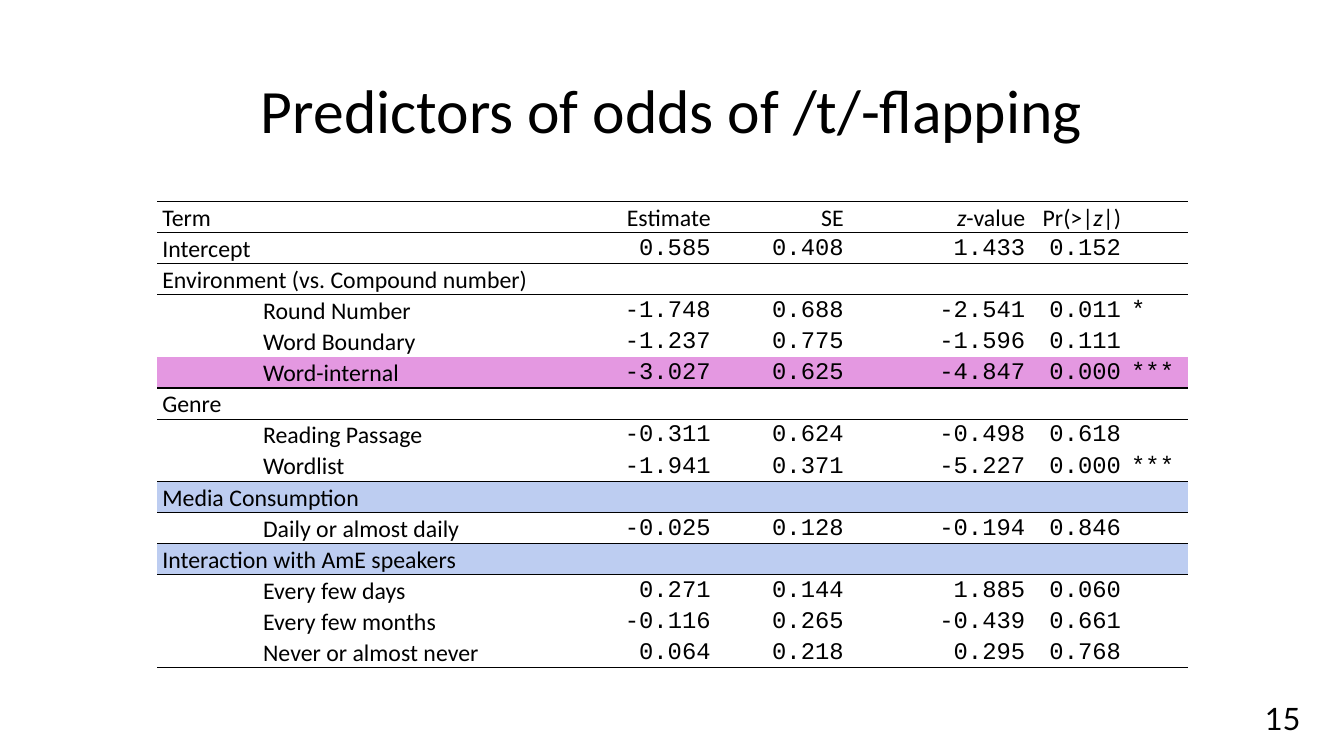
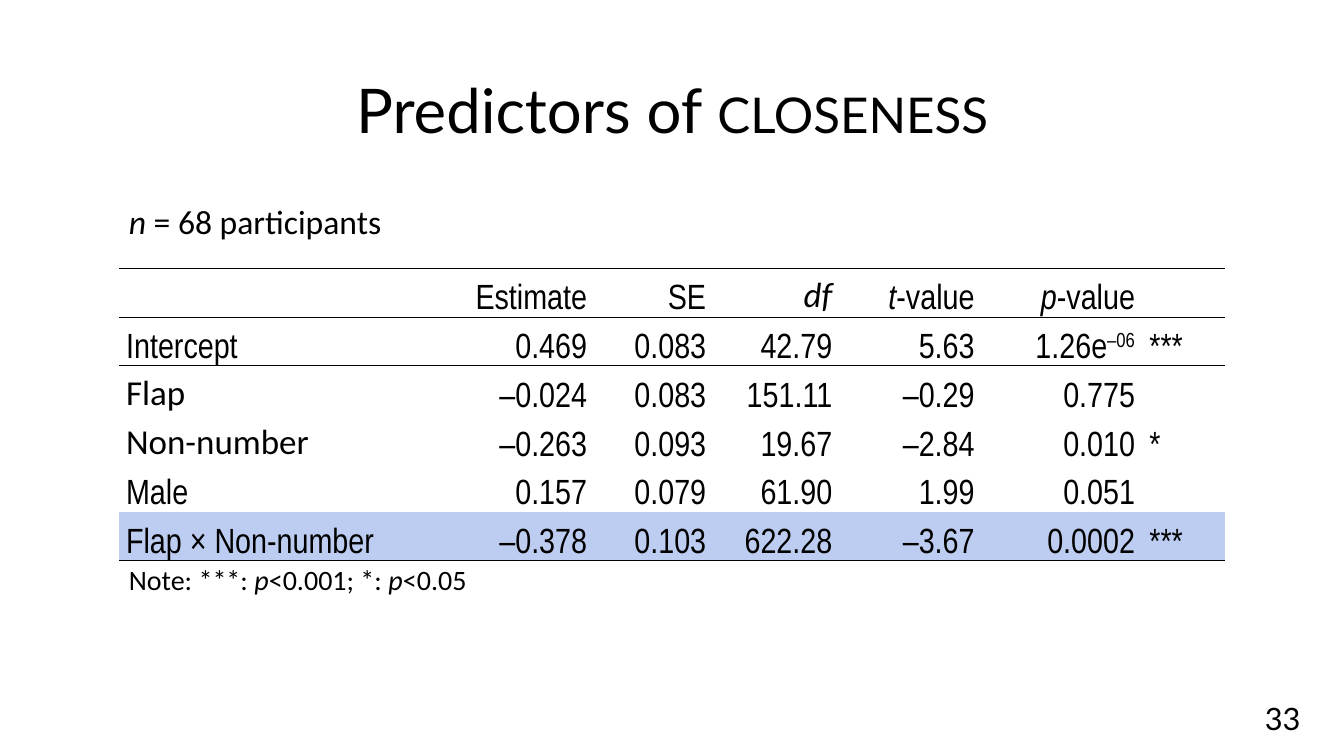
from dataclasses import dataclass

import pptx
import pptx.dml.color
import pptx.enum.text
import pptx.oxml
import pptx.oxml.ns
import pptx.util
from lxml import etree

ALIGN = pptx.enum.text.PP_ALIGN
ANCHOR = pptx.enum.text.MSO_ANCHOR
ITALIC = {"i": "1"}
SUPERSCRIPT = {"baseline": "30000"}
SMALL_CAPS = {"cap": "small"}
PLAIN_TABLE = "{2D5ABB26-0587-4C30-8999-92F81FD0307C}"


@dataclass(frozen=True)
class Theme:
    """Colours, fonts and type sizes that the slides share."""
    ink: str = "000000"
    pink: str = "E498E1"
    blue: str = "BDCDF1"
    sans: str = "Calibri"
    display: str = "Lato"
    mono: str = "Courier New"
    narrow: str = "Arial Narrow"
    title: int = 44
    caption: int = 24
    number: int = 22
    note: int = 20


THEME = Theme()
UPRIGHT = {"font": THEME.sans}
WIDTH, HEIGHT = pptx.util.Inches(13.33), pptx.util.Inches(7.5)


@dataclass(frozen=True)
class TableStyle:
    """Type and spacing of one regression table."""
    labels: str
    numbers: str
    size: int
    spacing: float
    padding: float
    anchor: object


ODDS_STYLE = TableStyle(THEME.sans, THEME.mono, 17, 1.07, 0.38, ANCHOR.MIDDLE)
CLOSENESS_STYLE = TableStyle(THEME.narrow, THEME.narrow, 25, 1.15, 0.54, ANCHOR.BOTTOM)

ODDS_ROWS = [
    ("Term", "Estimate", "SE", [("z", ITALIC), "-value"], ["Pr(>|", ("z", ITALIC), "|)"], ""),
    ("Intercept", "0.585", "0.408", "1.433", "0.152", ""),
    ("Environment (vs. Compound number)",),
    ("Round Number", "-1.748", "0.688", "-2.541", "0.011", "*"),
    ("Word Boundary", "-1.237", "0.775", "-1.596", "0.111", ""),
    ("Word-internal", "-3.027", "0.625", "-4.847", "0.000", "***"),
    ("Genre",),
    ("Reading Passage", "-0.311", "0.624", "-0.498", "0.618", ""),
    ("Wordlist", "-1.941", "0.371", "-5.227", "0.000", "***"),
    ("Media Consumption",),
    ("Daily or almost daily", "-0.025", "0.128", "-0.194", "0.846", ""),
    ("Interaction with AmE speakers",),
    ("Every few days", "0.271", "0.144", "1.885", "0.060", ""),
    ("Every few months", "-0.116", "0.265", "-0.439", "0.661", ""),
    ("Never or almost never", "0.064", "0.218", "0.295", "0.768", ""),
]

CLOSENESS_ROWS = [
    ("", "Estimate", "SE", [("df", ITALIC | UPRIGHT)], [("t", ITALIC), "-value"],
     [("p", ITALIC), "-value"], ""),
    ("Intercept", "0.469", "0.083", "42.79", "5.63", ["1.26e", ("–06", SUPERSCRIPT)], "***"),
    ([("Flap", UPRIGHT)], "–0.024", "0.083", "151.11", "–0.29", "0.775", ""),
    ([("Non-number", UPRIGHT)], "–0.263", "0.093", "19.67", "–2.84", "0.010", "*"),
    ("Male", "0.157", "0.079", "61.90", "1.99", "0.051", ""),
    ("Flap × Non-number", "–0.378", "0.103", "622.28", "–3.67", "0.0002", "***"),
]


def place(left, top, width, height):
    """Turn percentages of the slide into lengths."""
    return [round(share * side / 100)
            for share, side in zip((left, top, width, height), (WIDTH, HEIGHT) * 2)]


def put_text(frame, content, font, size, align=ALIGN.LEFT, anchor=ANCHOR.TOP,
             spacing=None, indent=0):
    """Write a string, or a list of plain and styled pieces, as one paragraph."""
    frame.word_wrap = True
    frame.vertical_anchor = anchor
    paragraph = frame.paragraphs[0]
    paragraph.alignment = align
    paragraph.line_spacing = spacing
    if indent:
        paragraph._p.get_or_add_pPr().set("marL", str(indent))
    for piece in [content] if isinstance(content, str) else content:
        words, style = (piece, {}) if isinstance(piece, str) else piece
        run = paragraph.add_run()
        run.text = words
        run.font.name = style.get("font", font)
        run.font.size = pptx.util.Pt(size)
        run.font.color.rgb = pptx.dml.color.RGBColor.from_string(THEME.ink)
        for key, value in style.items():
            if key != "font":
                run._r.get_or_add_rPr().set(key, value)


def add_text(slide, box, content, **style):
    """Add a text box in the given box."""
    put_text(slide.shapes.add_textbox(*place(*box)).text_frame, content, **style)


def add_rule(cell, side, position):
    """Draw one horizontal border of a cell."""
    qn = pptx.oxml.ns.qn
    line = etree.Element(qn("a:" + side), w=str(pptx.util.Pt(1)))
    fill = etree.SubElement(line, qn("a:solidFill"))
    etree.SubElement(fill, qn("a:srgbClr"), val=THEME.ink)
    cell._tc.get_or_add_tcPr().insert(position, line)


def format_cell(cell, style, fill, top, bottom):
    """Set the padding, fill and rules of a cell."""
    cell.margin_left = cell.margin_right = round(WIDTH * style.padding / 100)
    cell.margin_top = cell.margin_bottom = 0
    cell.vertical_anchor = style.anchor
    if fill:
        cell.fill.solid()
        cell.fill.fore_color.rgb = pptx.dml.color.RGBColor.from_string(fill)
    else:
        cell.fill.background()
    if bottom:
        add_rule(cell, "lnB", 0)
    if top:
        add_rule(cell, "lnT", 0)


def add_regression(slide, box, rows, columns, heights, style, rules, fills):
    """Add a table; one-part rows are group headings that span it."""
    left, top, width, height = place(*box)
    table = slide.shapes.add_table(len(rows), len(columns), left, top, width, height).table
    table.first_row = table.horz_banding = False
    table._tbl.tblPr.find(pptx.oxml.ns.qn("a:tableStyleId")).text = PLAIN_TABLE
    for column, share in zip(table.columns, columns):
        column.width = round(width * share / sum(columns))
    for row, share in zip(table.rows, heights):
        row.height = round(height * share / sum(heights))
    last = len(columns) - 1
    grouped = False
    for r, row in enumerate(rows):
        heading = len(row) == 1
        for c in range(len(columns)):
            cell = table.cell(r, c)
            format_cell(cell, style, fills.get(r), r in rules, r + 1 in rules)
            content = row[c] if c < len(row) else ""
            if not content:
                cell.text_frame.paragraphs[0]._p.get_or_add_endParaRPr().set("sz", "1000")
                continue
            put_text(cell.text_frame, content, size=style.size, spacing=style.spacing,
                     font=style.numbers if r and c else style.labels,
                     align=ALIGN.RIGHT if 0 < c < last else ALIGN.LEFT,
                     anchor=style.anchor,
                     indent=round(WIDTH * 0.075) if grouped and not heading and c == 0 else 0)
        if heading:
            table.cell(r, 0).merge(table.cell(r, last))
            grouped = True


def add_base(deck, title, number, font):
    """Add a blank slide with its title and page number."""
    slide = deck.slides.add_slide(deck.slide_layouts[6])
    add_text(slide, (6.88, 5.33, 86.25, 19.33), title, font=font, size=THEME.title,
             align=ALIGN.CENTER, anchor=ANCHOR.MIDDLE, spacing=0.9)
    add_text(slide, (75, 91.87, 22.5, 5.33), number, font=THEME.display,
             size=THEME.number, align=ALIGN.RIGHT)
    return slide


def build_odds(deck):
    """Build the slide on the odds of flapping."""
    slide = add_base(deck, "Predictors of odds of /t/-flapping", "15", THEME.sans)
    add_regression(slide, (11.7, 26.67, 76.67, 61.73), ODDS_ROWS,
                   (4, 1.54, 1.32, 1.8, 0.95, 0.61), [1] * len(ODDS_ROWS), ODDS_STYLE,
                   rules={0, 1, 2, 6, 9, 11, 15},
                   fills={5: THEME.pink, 9: THEME.blue, 11: THEME.blue})


def build_closeness(deck):
    """Build the slide on closeness, with its sample size and note."""
    slide = add_base(deck, ["Predictors of ", ("closeness", SMALL_CAPS)], "33", THEME.display)
    add_regression(slide, (8.85, 35.47, 82.3, 35.2), CLOSENESS_ROWS,
                   (3.22, 1.49, 1.18, 1.25, 1.41, 1.59, 0.82),
                   (0.49, 0.38, 0.49, 0.49, 0.42, 0.38), CLOSENESS_STYLE,
                   rules={0, 1, 6}, fills={5: THEME.blue})
    add_text(slide, (8.85, 73.73, 50.7, 5.87),
             ["Note: ***: ", ("p", ITALIC), "<0.001; *: ", ("p", ITALIC), "<0.05"],
             font=THEME.sans, size=THEME.note)
    add_text(slide, (8.85, 25.87, 50.7, 6.67), [("n ", ITALIC), "= 68 participants"],
             font=THEME.sans, size=THEME.caption)


def main():
    """Build and save the deck."""
    deck = pptx.Presentation()
    deck.slide_width, deck.slide_height = WIDTH, HEIGHT
    build_odds(deck)
    build_closeness(deck)
    deck.save("out.pptx")


if __name__ == "__main__":
    main()
